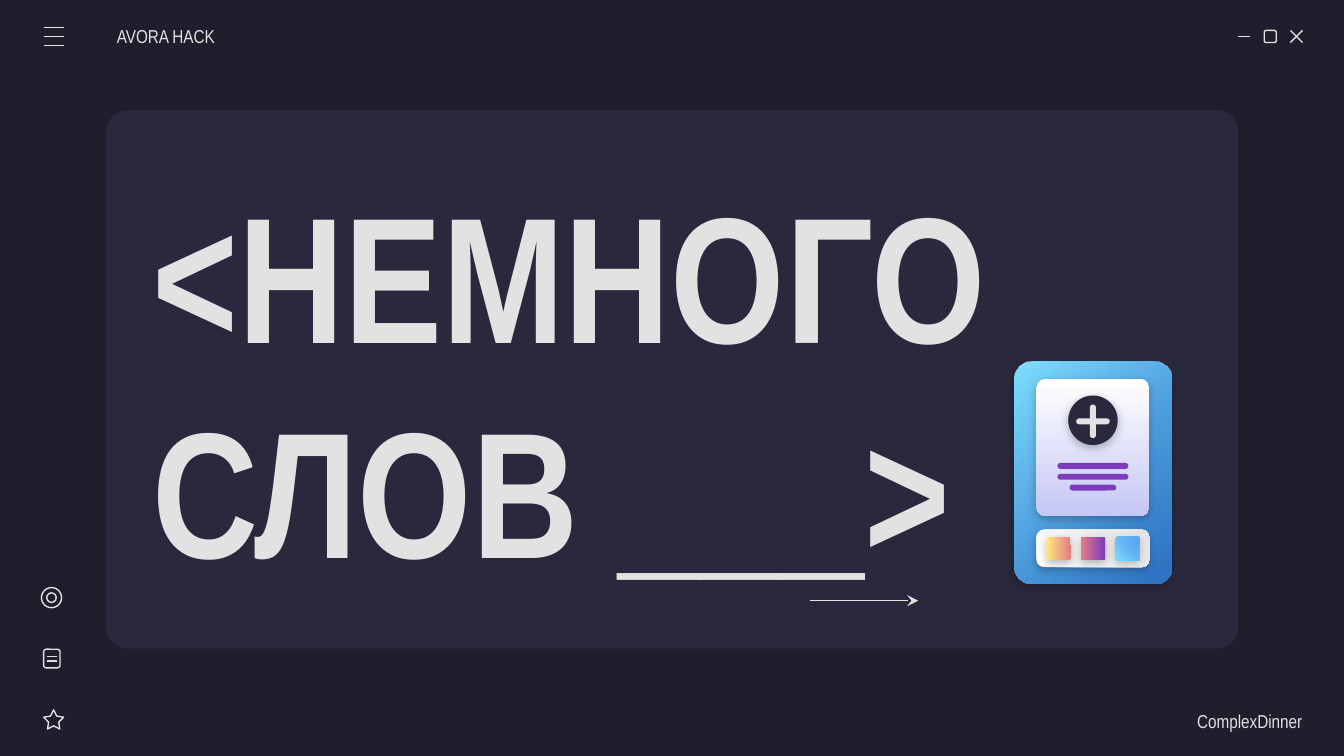
from lxml.etree import SubElement
from pptx import Presentation
from pptx.dml.color import RGBColor
from pptx.enum.shapes import MSO_CONNECTOR as Connector, MSO_SHAPE as Shape
from pptx.enum.text import MSO_ANCHOR as Anchor, PP_ALIGN as Align
from pptx.oxml.ns import qn
from pptx.util import Pt

COLORS = {
    "back": "1E1E2C", "panel": "29283D", "light": "E2E2E2", "white": "FFFFFF",
    "lilac": "C5C7F4", "purple": "7E3BBE", "pink": "E57C85", "yellow": "FFEA7D",
    "sky": "80DFFF", "blue": "318FFA",
}
OPACITY = {"blue": 72}
FONT = "Arial Narrow"
STROKE = 0.75


def rgb(name):
    return RGBColor.from_string(COLORS[name])


def set_alpha(color_element, percent):
    SubElement(color_element, qn("a:alpha"), val=str(percent * 1000))


def add_shadow(shape, opacity):
    effects = shape.element.spPr.find(qn("a:effectLst"))
    shadow = SubElement(effects, qn("a:outerShdw"), blurRad=str(Pt(4.5)),
                        dist=str(Pt(1.5)), dir="5400000", algn="bl", rotWithShape="0")
    set_alpha(SubElement(shadow, qn("a:srgbClr"), val=COLORS["back"]), opacity)


def add_figure(page, kind, box, fill=None, radius=None, angle=0, turn=0, shadow=0):
    """Place a shape so that it covers box; fill is a color, a color pair or None (outline)."""
    left, top, width, height = box
    if turn % 180:
        left, top = left + (width - height) / 2, top + (height - width) / 2
        width, height = height, width
    shape = page.shapes.add_shape(kind, Pt(left), Pt(top), Pt(width), Pt(height))
    shape.rotation = turn
    shape.shadow.inherit = False
    if radius is not None:
        shape.adjustments[0] = radius
    if fill is None:
        shape.fill.background()
        shape.line.color.rgb = rgb("light")
        shape.line.width = Pt(STROKE)
        return shape
    shape.line.fill.background()
    if isinstance(fill, str):
        shape.fill.solid()
        shape.fill.fore_color.rgb = rgb(fill)
    else:
        shape.fill.gradient()
        shape.fill.gradient_angle = 360 - angle
        for stop, name, position in zip(shape.fill.gradient_stops, fill, (0, 1)):
            stop.color.rgb = rgb(name)
            stop.position = position
        for element, name in zip(list(shape.element.spPr.iter(qn("a:srgbClr"))), fill):
            if name in OPACITY:
                set_alpha(element, OPACITY[name])
    if shadow:
        add_shadow(shape, shadow)
    return shape


def add_stroke(page, x1, y1, x2, y2, arrow=False):
    stroke = page.shapes.add_connector(Connector.STRAIGHT, Pt(x1), Pt(y1), Pt(x2), Pt(y2))
    stroke.line.color.rgb = rgb("light")
    stroke.line.width = Pt(STROKE)
    if arrow:
        SubElement(stroke.line._get_or_add_ln(), qn("a:tailEnd"), type="stealth")
    SubElement(stroke.element.spPr, qn("a:effectLst"))


def add_label(page, box, text, size, insets, bold=False, **para_format):
    label = page.shapes.add_textbox(*(Pt(value) for value in box))
    frame = label.text_frame
    frame_format = {"word_wrap": True, "vertical_anchor": Anchor.MIDDLE,
                    "margin_top": Pt(7.2), "margin_bottom": Pt(7.2),
                    "margin_left": Pt(insets[0]), "margin_right": Pt(insets[1])}
    for name, value in frame_format.items():
        setattr(frame, name, value)
    para = frame.paragraphs[0]
    for name, value in para_format.items():
        setattr(para, name, value)
    span = para.add_run()
    span.text = text
    for name, value in {"name": FONT, "size": Pt(size), "bold": bold}.items():
        setattr(span.font, name, value)
    span.font.color.rgb = rgb("light")


def draw_menu(page, left, top, width, height):
    for row in range(3):
        y = top + row * height / 2
        add_stroke(page, left, y, left + width, y)


def draw_window_buttons(page, left, top, width, height):
    right, bottom, middle = left + width, top + height, top + height / 2
    add_stroke(page, left, middle, left + height, middle)
    add_figure(page, Shape.ROUNDED_RECTANGLE,
               (left + (width - height) / 2, top, height, height), radius=0.167)
    add_stroke(page, right - height, top, right, bottom)
    add_stroke(page, right, top, right - height, bottom)


def draw_sidebar(page, left, top, width, height):
    # Target: two concentric rings
    for inset in (0, 2.85):
        side = width - 1.2 - 2 * inset
        add_figure(page, Shape.OVAL, (left + inset, top + inset, side, side))
    # Document
    add_figure(page, Shape.ROUNDED_RECTANGLE, (left + 1.2, top + 33, 8.8, 10), radius=0.167)
    for y in (top + 36.9, top + 39.3):
        add_stroke(page, left + 3, y, left + 8.3, y)
    # Star
    star = add_figure(page, Shape.STAR_5_POINT,
                      (left + 1.2, top + height - 10.3, 10.7, 10.3))
    star.adjustments[0] = 0.254


def draw_card(page, left, top, width, height):
    rounded = Shape.ROUNDED_RECTANGLE
    center = left + width / 2
    add_figure(page, rounded, (left, top, width, height), ("sky", "blue"),
               0.108, angle=45, shadow=100)

    # Sheet with text bars
    inner = 60.5
    inner_left = center - inner / 2
    add_figure(page, rounded, (inner_left, top + 9.4, inner, 73.5), ("white", "lilac"),
               0.08, angle=90, shadow=30)
    for row, bar in enumerate((38, 38, 25)):
        add_figure(page, rounded, (center - bar / 2, top + 54.5 + row * 5.8, bar, 3.2),
                   "purple", 0.5)

    # Round plus button
    button = 26.5
    add_figure(page, Shape.OVAL, (center - button / 2, top + 18.4, button, button),
               "panel", shadow=30)
    arm, thick, middle = 18, 3.2, top + 32.2
    for wide, high in ((arm, thick), (thick, arm)):
        add_figure(page, rounded, (center - wide / 2, middle - high / 2, wide, high),
                   "light", 0.5)

    # Tray with color swatches
    tray_middle = top + 100.3
    add_figure(page, rounded, (inner_left, tray_middle - 10, inner, 20),
               ("white", "light"), 0.198, angle=45, turn=270, shadow=30)
    swatches = ((("yellow", "pink"), 90), (("pink", "purple"), 90), (("sky", "blue"), 45))
    for column, (fill, angle) in enumerate(swatches):
        x = center + (column - 1) * 18.4
        add_figure(page, rounded, (x - 6.5, tray_middle - 6.2, 13, 12.4), fill,
                   0.073, angle=angle, turn=270, shadow=30)


def draw_panel(page, left, top, width, height):
    add_figure(page, Shape.ROUNDED_RECTANGLE, (left, top, width, height), "panel", 0.04)
    add_label(page, (left + 18, top + 36.8, 463, 214.6), "<НЕМНОГО СЛОВ ___>", 96,
              (7.2, 7.2), bold=True)
    draw_card(page, left + 486.5, top + 134.5, 84.2, 119)
    arrow_y = top + 262.8
    add_stroke(page, left + 377, arrow_y, left + 435, arrow_y, arrow=True)


def main():
    deck = Presentation()
    deck.slide_width, deck.slide_height = Pt(720), Pt(405)
    page = deck.slides.add_slide(deck.slide_layouts[6])
    page.background.fill.solid()
    page.background.fill.fore_color.rgb = rgb("back")

    draw_panel(page, 56.9, 59, 606.6, 288.5)
    draw_menu(page, 23.4, 14.8, 10.7, 9.6)
    draw_window_buttons(page, 663.2, 16.3, 34.6, 6.5)
    draw_sidebar(page, 22.2, 314.8, 12, 75.8)
    # Header and footer names
    add_label(page, (62.6, 8.6, 84.2, 21.6), "AVORA HACK", 10, (0, 7.2))
    add_label(page, (613.4, 374.4, 84.2, 21.6), "ComplexDinner", 10, (7.2, 0),
              alignment=Align.RIGHT, line_spacing=1.15)
    deck.save("out.pptx")


if __name__ == "__main__":
    main()
